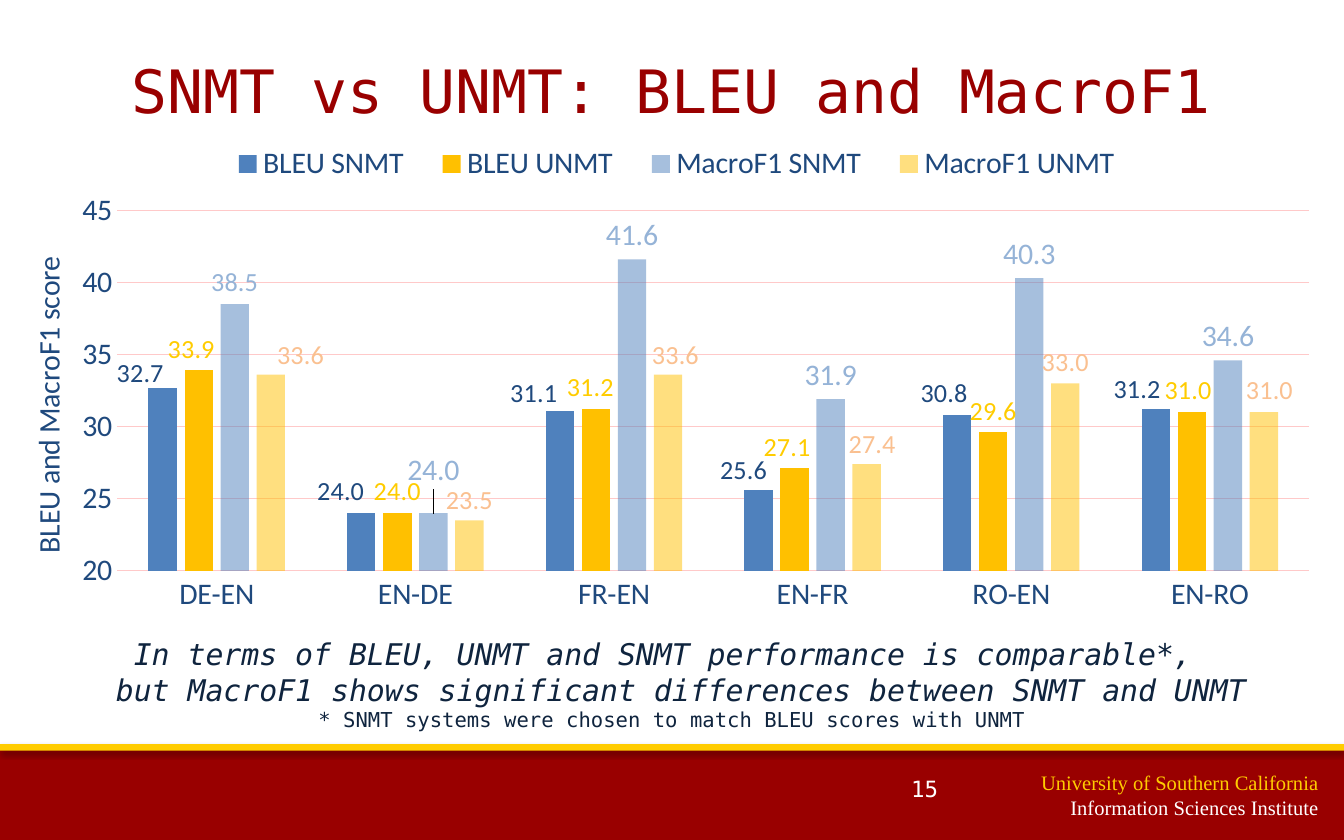
import dataclasses
import typing

import lxml.etree
import pptx
import pptx.chart.data
import pptx.dml.color
import pptx.enum.chart
import pptx.enum.shapes
import pptx.enum.text
import pptx.oxml.ns
import pptx.util

Pt = pptx.util.Pt
qn = pptx.oxml.ns.qn
Align = pptx.enum.text.PP_ALIGN


@dataclasses.dataclass(frozen=True)
class Theme:
    red: str = "990000"
    gold: str = "FFCC00"
    white: str = "FFFFFF"
    navy: str = "0F243E"
    blue: str = "1F497D"
    grid: str = "FFC9C9"
    mono: str = "DejaVu Sans Mono"
    serif: str = "Times New Roman"
    sans: str = "Calibri"
    head: float = 32
    large: float = 16
    mid: float = 14
    page: float = 12
    small: float = 11


@dataclasses.dataclass(frozen=True)
class Box:
    left: float
    top: float
    width: float
    height: float

    def points(self) -> tuple:
        return tuple(Pt(v) for v in dataclasses.astuple(self))


@dataclasses.dataclass(frozen=True)
class Band:
    box: Box
    fill: str
    alpha: int


@dataclasses.dataclass(frozen=True)
class Line:
    text: str
    size: float
    face: str
    color: str
    slant: bool = False


@dataclasses.dataclass(frozen=True)
class Bars:
    name: str
    scores: tuple
    fill: str
    alpha: int
    ink: str
    size: float
    shifts: dict


T = Theme()
CHART = Box(5, 70.6, 715, 266.4)
PAIRS = ("DE-EN", "EN-DE", "FR-EN", "EN-FR", "RO-EN", "EN-RO")
BANDS = (
    Band(Box(0, 401.8, 720, 48.2), T.red, 35),
    Band(Box(0, 398.6, 720, 3.6), T.gold, 38),
)
BARS = (
    Bars("BLEU SNMT", (32.7, 24.0, 31.1, 25.6, 30.8, 31.2), "4F81BD", 100, T.blue, T.mid,
         {0: (-12, 4), 1: (-11, 0), 2: (-14, 2), 3: (-8, 1), 4: (-7, 0), 5: (-10, 1)}),
    Bars("BLEU UNMT", (33.9, 24.0, 31.2, 27.1, 29.6, 31.0), "FFC000", 100, T.gold, T.mid,
         {0: (-4, 0), 2: (-3, 0), 3: (-4, 0), 5: (-2, 0)}),
    Bars("MacroF1 SNMT", (38.5, 24.0, 41.6, 31.9, 40.3, 34.6), "4F81BD", 50, "95B3D7", T.large,
         {0: (0, 0), 1: (0, -10)}),
    Bars("MacroF1 UNMT", (33.6, 23.5, 33.6, 27.4, 33.0, 31.0), "FFC000", 50, "FAC090", T.mid,
         {0: (16, 1), 1: (0, 1), 2: (4, 1), 3: (3, 1), 5: (3, 0)}),
)
NOTES = (
    Line("In terms of BLEU, UNMT and SNMT performance is comparable*, ", T.large, T.mono, T.navy, True),
    Line(" but MacroF1 shows significant differences between SNMT and UNMT", T.large, T.mono, T.navy, True),
    Line("* SNMT systems were chosen to match BLEU scores with UNMT", T.small, T.mono, T.navy),
)
SCHOOL = (
    Line("University of Southern California", T.small, T.serif, T.gold),
    Line("Information Sciences Institute", T.small, T.serif, T.white),
)


def tint(code: str) -> pptx.dml.color.RGBColor:
    return pptx.dml.color.RGBColor.from_string(code)


def style(font: typing.Any, size: float, face: str, color: str, slant: bool = False) -> None:
    font.size, font.name = Pt(size), face
    font.bold, font.italic = False, slant
    font.color.rgb = tint(color)


def write(shape: typing.Any, lines: typing.Sequence[Line], align: typing.Any) -> None:
    frame = shape.text_frame
    frame.word_wrap = True
    frame.auto_size = pptx.enum.text.MSO_AUTO_SIZE.NONE
    frame.text = "\n".join(line.text for line in lines)
    for para, line in zip(frame.paragraphs, lines):
        para.alignment = align
        para.space_before = Pt(0)
        for run in para.runs:
            style(run.font, line.size, line.face, line.color, line.slant)


def place(shape: typing.Any, box: Box) -> None:
    shape.left, shape.top, shape.width, shape.height = box.points()


def draw_band(slide: typing.Any, band: Band) -> None:
    shape = slide.shapes.add_shape(pptx.enum.shapes.MSO_SHAPE.RECTANGLE, *band.box.points())
    shape.fill.solid()
    shape.fill.fore_color.rgb = tint(band.fill)
    shape.line.fill.background()
    shape.shadow.inherit = False
    glow = lxml.etree.SubElement(
        shape._element.spPr.find(qn("a:effectLst")), qn("a:outerShdw"),
        blurRad=str(Pt(3.1)), dist=str(Pt(1.7)), dir="5400000", rotWithShape="0")
    shade = lxml.etree.SubElement(glow, qn("a:srgbClr"), val="000000")
    lxml.etree.SubElement(shade, qn("a:alpha"), val=str(band.alpha * 1000))


def lay_out(**parts: typing.Any) -> typing.Any:
    root = lxml.etree.Element(qn("c:layout"))
    form = lxml.etree.SubElement(root, qn("c:manualLayout"))
    for key, value in parts.items():
        lxml.etree.SubElement(form, qn("c:" + key), val=str(value))
    return root


def pin(node: typing.Any, after: str, **parts: typing.Any) -> None:
    for old in node.findall(qn("c:layout")):
        node.remove(old)
    spot = node.find(qn(after))
    if spot is None:
        node.insert(0, lay_out(**parts))
    else:
        spot.addnext(lay_out(**parts))


def dress(series: typing.Any, bars: Bars) -> None:
    outer = pptx.enum.chart.XL_LABEL_POSITION.OUTSIDE_END
    fill = series.format.fill
    fill.solid()
    fill.fore_color.rgb = tint(bars.fill)
    if bars.alpha < 100:
        for shade in series._element.spPr.iter(qn("a:srgbClr")):
            lxml.etree.SubElement(shade, qn("a:alpha"), val=str(bars.alpha * 1000))
    tags = series.data_labels
    tags.show_value, tags.position = True, outer
    tags.number_format, tags.number_format_is_linked = "#,##0.0", False
    style(tags.font, bars.size, T.sans, bars.ink)
    for spot, shift in bars.shifts.items():
        tag = series.points[spot].data_label
        size = T.mid if shift == (0, 0) else bars.size
        style(tag.font, size, T.sans, bars.ink)
        tag.position = outer
    for node in series._element.iter(qn("c:dLbl")):
        right, down = bars.shifts[int(node.find(qn("c:idx")).get("val"))]
        pin(node, "c:idx", x=round(right / CHART.width, 4), y=round(down / CHART.height, 4))


def draw_chart(slide: typing.Any) -> None:
    data = pptx.chart.data.CategoryChartData(number_format="#,##0.0")
    data.categories = PAIRS
    for bars in BARS:
        data.add_series(bars.name, bars.scores)
    kind = pptx.enum.chart.XL_CHART_TYPE.COLUMN_CLUSTERED
    chart = slide.shapes.add_chart(kind, *CHART.points(), data).chart
    style(chart.font, T.large, T.sans, T.red)
    chart.has_title = False
    plot = chart.plots[0]
    plot.gap_width, plot.overlap, plot.vary_by_categories = 219, -27, False
    for series, bars in zip(plot.series, BARS):
        dress(series, bars)
    for axis in (chart.category_axis, chart.value_axis):
        axis.major_tick_mark = pptx.enum.chart.XL_TICK_MARK.NONE
        style(axis.tick_labels.font, T.large, T.sans, T.blue)
    scale = chart.value_axis
    scale.minimum_scale, scale.maximum_scale, scale.major_unit = 20, 45, 5
    scale.tick_labels.number_format, scale.tick_labels.number_format_is_linked = "0", False
    scale.format.line.fill.background()
    for line in (chart.category_axis.format.line, scale.major_gridlines.format.line):
        line.color.rgb, line.width = tint(T.grid), Pt(0.75)
    title = scale.axis_title
    title.text_frame.text = "BLEU and MacroF1 score"
    style(title.text_frame.paragraphs[0].runs[0].font, T.large, T.sans, T.blue)
    chart.has_legend = True
    chart.legend.position = pptx.enum.chart.XL_LEGEND_POSITION.BOTTOM
    chart.legend.include_in_layout = False
    style(chart.legend.font, T.large, T.sans, T.blue)
    edge = dict(xMode="edge", yMode="edge")
    pin(title._element, "c:tx", **edge, x=0.01, y=0.24)
    pin(chart.legend._element, "c:legendPos", **edge, x=0.15, y=0.02, w=0.7, h=0.09)
    pin(chart._chartSpace.chart.plotArea, "c:none", layoutTarget="inner", **edge,
        x=0.081, y=0.158, w=0.893, h=0.725)


def main() -> None:
    deck = pptx.Presentation()
    deck.slide_width, deck.slide_height = Pt(720), Pt(450)
    slide = deck.slides.add_slide(deck.slide_layouts[1])
    for band in BANDS:
        draw_band(slide, band)
    school = slide.shapes.add_textbox(*Box(532.8, 409, 180.7, 33.8).points())
    write(school, SCHOOL, Align.RIGHT)
    page = slide.shapes.add_textbox(*Box(481, 411.8, 29.5, 21.6).points())
    write(page, [Line("15", T.page, T.mono, T.white)], Align.LEFT)
    title = slide.shapes.title
    place(title, Box(49.7, 20.2, 620.6, 55.4))
    write(title, [Line("SNMT vs UNMT: BLEU and MacroF1", T.head, T.mono, T.red)], Align.CENTER)
    draw_chart(slide)
    body = slide.placeholders[1]
    place(body, Box(20.9, 337, 678.2, 60.5))
    write(body, NOTES, Align.CENTER)
    for para in body.text_frame.paragraphs:
        rules = para._p.get_or_add_pPr()
        rules.set("marL", "0")
        rules.set("indent", "0")
        lxml.etree.SubElement(rules, qn("a:buNone"))
    deck.save("out.pptx")


if __name__ == "__main__":
    main()
